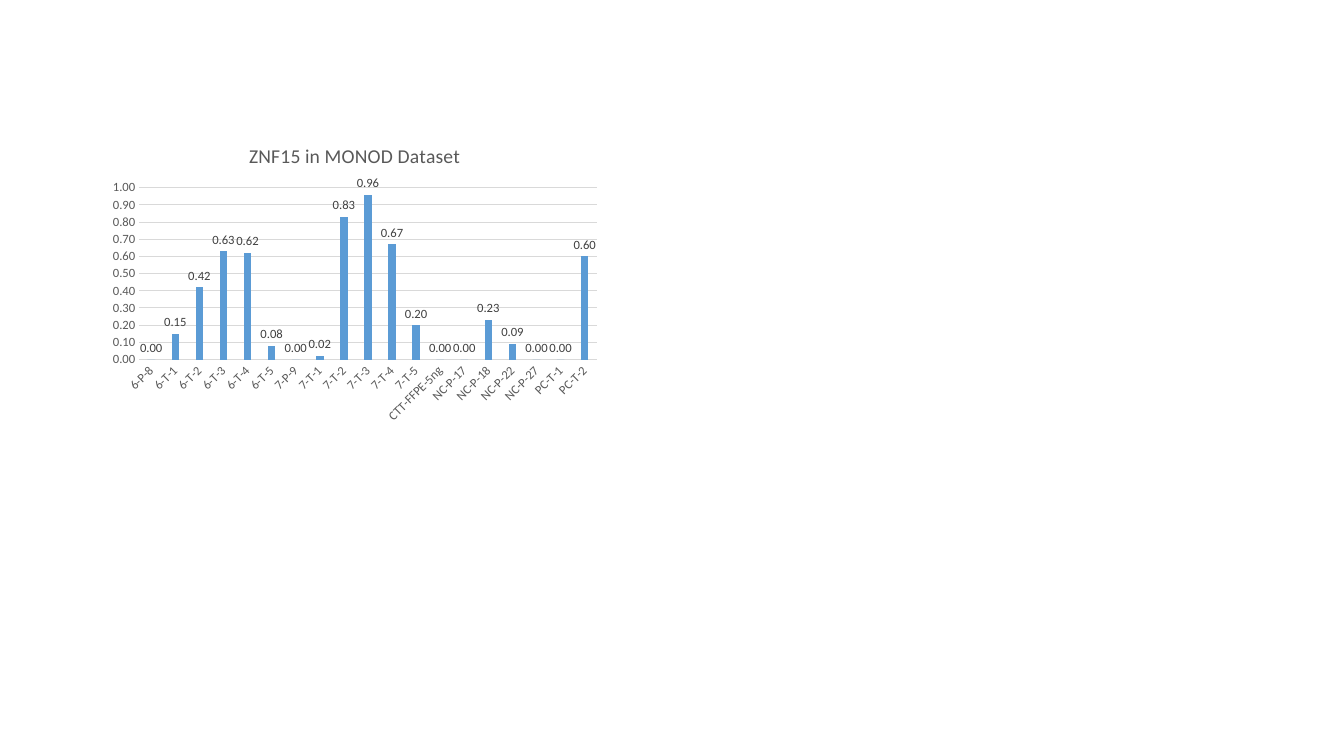
from dataclasses import dataclass

from pptx import Presentation
from pptx import util as u
from pptx.chart.data import CategoryChartData
from pptx.dml.color import RGBColor
from pptx.enum import chart as c


@dataclass(frozen=True)
class Theme:
    font: str = "Calibri"
    bar: str = "5B9BD5"
    grid: str = "D9D9D9"
    text: str = "595959"
    label: str = "404040"
    base: str = "000000"
    title_size: float = 14
    base_size: float = 10
    label_size: float = 9
    line_width: float = 0.75


THEME = Theme()
SLIDE_WIDTH, SLIDE_HEIGHT = u.Inches(13.33), u.Inches(7.5)
TITLE = "ZNF15 in MONOD Dataset"
NUMBER_FORMAT = "0.00"
SAMPLES = {
    "6-P-8": 0, "6-T-1": 0.15, "6-T-2": 0.42, "6-T-3": 0.63, "6-T-4": 0.62,
    "6-T-5": 0.08, "7-P-9": 0, "7-T-1": 0.02, "7-T-2": 0.83, "7-T-3": 0.96,
    "7-T-4": 0.67, "7-T-5": 0.2, "CTT-FFPE-5ng": 0, "NC-P-17": 0,
    "NC-P-18": 0.23, "NC-P-22": 0.09, "NC-P-27": 0, "PC-T-1": 0, "PC-T-2": 0.6,
}


def style_font(font, size, color):
    font.name = THEME.font
    font.size = u.Pt(size)
    font.bold = False
    font.color.rgb = RGBColor.from_string(color)


def style_line(line):
    line.width = u.Pt(THEME.line_width)
    line.color.rgb = RGBColor.from_string(THEME.grid)


def add_column_chart(slide, left, top, width, height):
    """Place the sample chart; lengths are shares of the slide's size."""
    data = CategoryChartData(number_format=NUMBER_FORMAT)
    data.categories = list(SAMPLES)
    data.add_series("Series 1", list(SAMPLES.values()))
    frame = slide.shapes.add_chart(
        c.XL_CHART_TYPE.COLUMN_CLUSTERED,
        round(left * SLIDE_WIDTH), round(top * SLIDE_HEIGHT),
        round(width * SLIDE_WIDTH), round(height * SLIDE_HEIGHT), data)
    chart = frame.chart
    chart.has_legend = False
    style_font(chart.font, THEME.base_size, THEME.base)
    return chart


def set_title(chart):
    chart.has_title = True
    para = chart.chart_title.text_frame.paragraphs[0]
    span = para.add_run()
    span.text = TITLE
    style_font(span.font, THEME.title_size, THEME.text)
    chart.chart_title.include_in_layout = False


def style_axes(chart):
    for axis in (chart.category_axis, chart.value_axis):
        axis.major_tick_mark = axis.minor_tick_mark = c.XL_TICK_MARK.NONE
        style_font(axis.tick_labels.font, THEME.label_size, THEME.text)
    style_line(chart.category_axis.format.line)
    values = chart.value_axis
    values.maximum_scale = 1
    values.tick_labels.number_format = NUMBER_FORMAT
    values.tick_labels.number_format_is_linked = False
    values.format.line.fill.background()
    style_line(values.major_gridlines.format.line)


def style_columns(chart):
    plot = chart.plots[0]
    plot.vary_by_categories = False
    plot.gap_width, plot.overlap = 219, -27
    series = plot.series[0]
    series.invert_if_negative = False
    series.format.fill.solid()
    series.format.fill.fore_color.rgb = RGBColor.from_string(THEME.bar)
    labels = series.data_labels
    labels.show_value = True
    labels.position = c.XL_LABEL_POSITION.OUTSIDE_END
    labels.number_format = NUMBER_FORMAT
    labels.number_format_is_linked = False
    style_font(labels.font, THEME.label_size, THEME.label)


def main():
    deck = Presentation()
    deck.slide_width, deck.slide_height = SLIDE_WIDTH, SLIDE_HEIGHT
    page = deck.slides.add_slide(deck.slide_layouts[6])
    chart = add_column_chart(page, left=0.0765, top=0.168, width=0.375, height=0.4)
    set_title(chart)
    style_axes(chart)
    style_columns(chart)
    deck.save("out.pptx")


if __name__ == "__main__":
    main()
